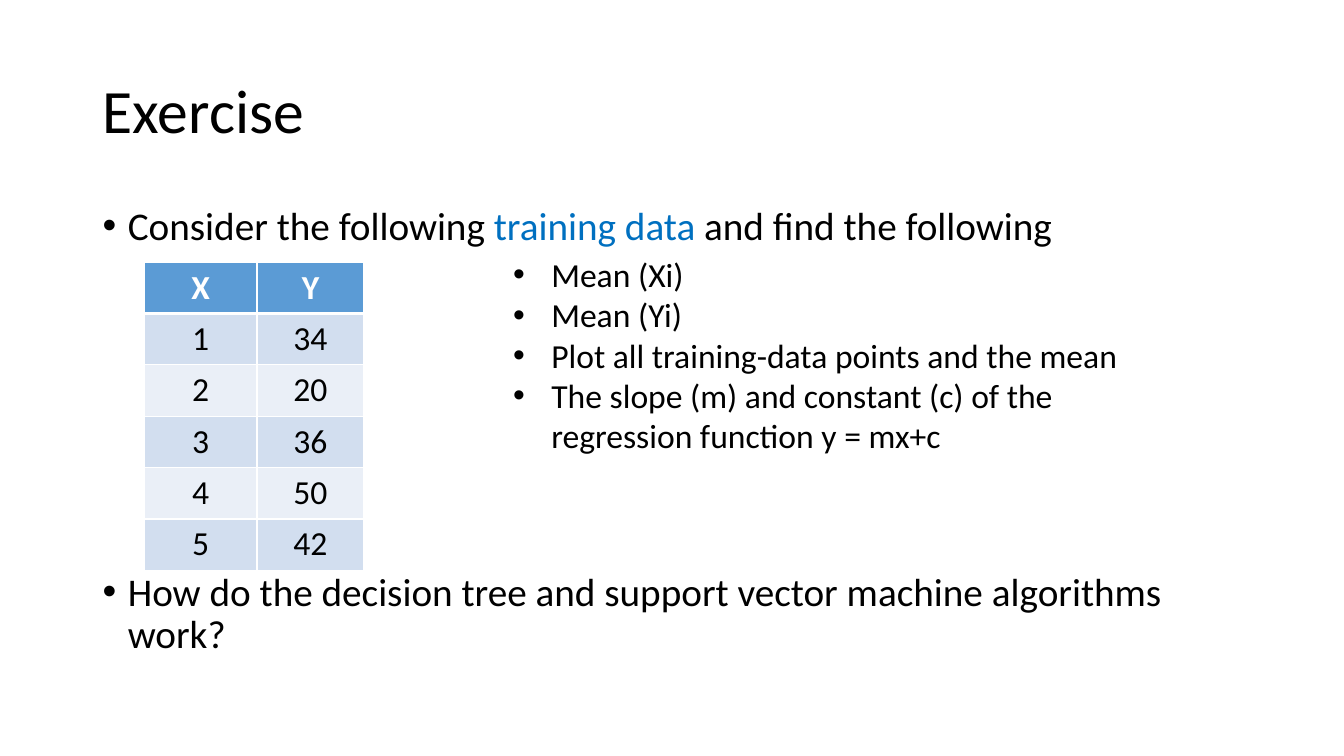
from lxml import etree
from pptx import Presentation
from pptx.dml.color import RGBColor
from pptx.enum import text as t
from pptx.oxml import ns
from pptx.util import Inches, Pt

BLACK = RGBColor(0x00, 0x00, 0x00)
WHITE = RGBColor(0xFF, 0xFF, 0xFF)
BLUE = RGBColor(0x00, 0x70, 0xC0)
HEAD = RGBColor(0x5B, 0x9B, 0xD5)
BANDS = [RGBColor(0xEA, 0xEF, 0xF7), RGBColor(0xD2, 0xDE, 0xEF)]


def write(para, words, size, color=BLACK, bold=False):
    run = para.add_run()
    run.text = words
    for key, val in {"name": "Calibri", "size": Pt(size), "bold": bold}.items():
        setattr(run.font, key, val)
    run.font.color.rgb = color


def bullet(para, left, hang):
    props = para._p.get_or_add_pPr()
    props.set("marL", str(Inches(left)))
    props.set("indent", str(-Inches(hang)))
    etree.SubElement(props, ns.qn("a:buFont"), typeface="Arial")
    etree.SubElement(props, ns.qn("a:buChar"), char="•")


deck = Presentation()
deck.slide_width, deck.slide_height = Inches(13.33), Inches(7.5)
slide = deck.slides.add_slide(deck.slide_layouts[5])

# Title
title = slide.shapes.title
spot = {"left": 0.92, "top": 0.4, "width": 11.5, "height": 1.45}
for key, val in spot.items():
    setattr(title, key, Inches(val))
frame = title.text_frame
frame.auto_size = t.MSO_AUTO_SIZE.NONE
frame.vertical_anchor = t.MSO_ANCHOR.MIDDLE
para = frame.paragraphs[0]
para.alignment = t.PP_ALIGN.LEFT
para.line_spacing = 0.9
write(para, "Exercise", 44)

# Two questions, with room for the table between them
box = slide.shapes.add_textbox(Inches(0.92), Inches(2), Inches(11.5), Inches(4.76))
frame = box.text_frame
frame.word_wrap = True
first, last = frame.paragraphs[0], frame.add_paragraph()
for para in (first, last):
    bullet(para, 0.25, 0.25)
    para.line_spacing = 0.9
last.space_before = Pt(231)
write(first, "Consider the following ", 28)
write(first, "training data ", 28, BLUE)
write(first, "and find the following", 28)
write(last, "How do the decision tree and support vector machine algorithms work?", 28)

# Training data
rows = [("X", "Y"), (1, 34), (2, 20), (3, 36), (4, 50), (5, 42)]
high = 0.51
grid = slide.shapes.add_table(len(rows), 2, Inches(1.43), Inches(2.6),
                              Inches(2.18), Inches(high * len(rows))).table
grid.horz_banding = False
for col, wide in zip(grid.columns, (1.12, 1.06)):
    col.width = Inches(wide)
for r, row in enumerate(rows):
    grid.rows[r].height = Inches(high)
    for c, val in enumerate(row):
        cell = grid.cell(r, c)
        props = cell._tc.get_or_add_tcPr()
        for side in "LRTB":
            thick = 3 if (r, side) in ((0, "B"), (1, "T")) else 1
            line = etree.SubElement(props, ns.qn("a:ln" + side), w=str(Pt(thick)))
            fill = etree.SubElement(line, ns.qn("a:solidFill"))
            etree.SubElement(fill, ns.qn("a:srgbClr"), val=str(WHITE))
        cell.fill.solid()
        cell.fill.fore_color.rgb = BANDS[r % 2] if r else HEAD
        para = cell.text_frame.paragraphs[0]
        para.alignment = t.PP_ALIGN.CENTER
        write(para, str(val), 24, BLACK if r else WHITE, r == 0)

# Tasks
tasks = ["Mean (Xi)", "Mean (Yi)", "Plot all training-data points and the mean",
         "The slope (m) and constant (c) of the regression function y = mx+c"]
box = slide.shapes.add_textbox(Inches(4.49), Inches(2.47), Inches(7.36), Inches(2.12))
frame = box.text_frame
frame.word_wrap = True
for i, task in enumerate(tasks):
    para = frame.add_paragraph() if i else frame.paragraphs[0]
    para.level = 1
    bullet(para, 0.88, 0.38)
    write(para, task, 24)

deck.save("out.pptx")
